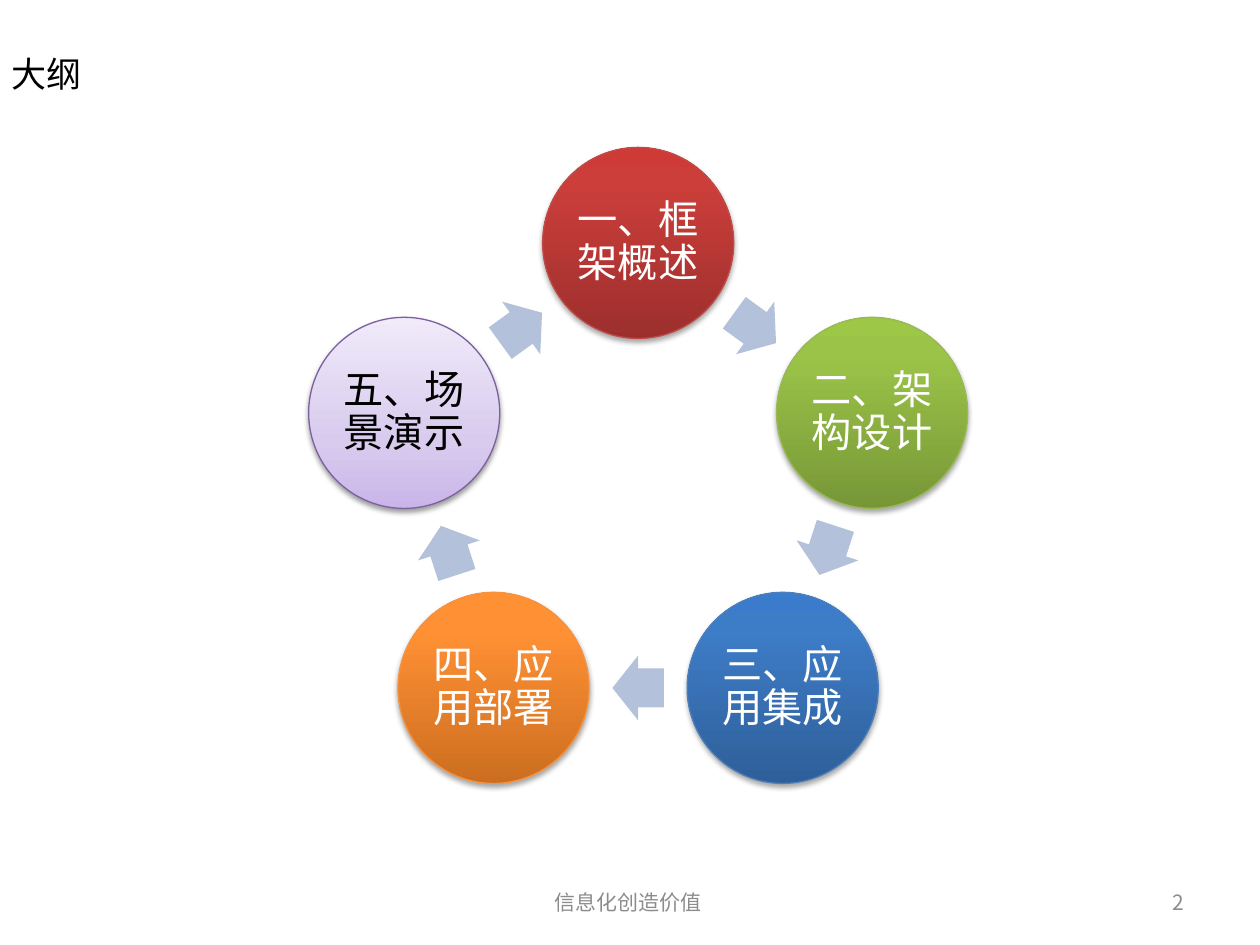
import math
from collections import namedtuple

import lxml.etree
import pptx
import pptx.dml.color
import pptx.enum.shapes
import pptx.enum.text
import pptx.oxml.ns
import pptx.util

Box = namedtuple("Box", "left top width height")
Node = namedtuple("Node", "label ink edge stops shadow")

FONT = "Noto Sans CJK SC"
PAGE = Box(0, 0, 10, 7.5)
SHAPES = pptx.enum.shapes.MSO_SHAPE
ALIGN = pptx.enum.text.PP_ALIGN
MIDDLE = pptx.enum.text.MSO_ANCHOR.MIDDLE

DARK = (35, 1.8)
PALE = (38, 1.6)
NODES = [
    Node("一、框架概述", "FFFFFF", "BF4C48", [(0, "9C2F2D"), (80, "CB3E3A"), (100, "CE3B37")], DARK),
    Node("二、架构设计", "FFFFFF", "98B955", [(0, "779737"), (80, "9BC348"), (100, "9DC746")], DARK),
    Node("三、应用集成", "FFFFFF", "4B7EBC", [(0, "2F5F99"), (80, "3D7CC7"), (100, "3A7CCB")], DARK),
    Node("四、应用部署", "FFFFFF", "F69240", [(0, "CC6E20"), (80, "FF9034"), (100, "FF9136")], DARK),
    Node("五、场景演示", "000000", "7D60A0", [(0, "C9B5E8"), (35, "D8CBEE"), (100, "F0EAF9")], PALE),
]


def color(value):
    return pptx.dml.color.RGBColor.from_string(value)


def share(box, left, top, width, height):
    return Box(box.left + left * box.width, box.top + top * box.height,
               width * box.width, height * box.height)


def centered(x, y, width, height):
    return Box(x - width / 2, y - height / 2, width, height)


def inches(box):
    return [pptx.util.Inches(length) for length in box]


def add_xml(parent, tag, **attributes):
    return lxml.etree.SubElement(parent, pptx.oxml.ns.qn(tag), attributes)


def write(frame, text, size, ink, align, spacing=None):
    frame.word_wrap = True
    frame.vertical_anchor = MIDDLE
    para = frame.paragraphs[0]
    para.alignment = align
    if spacing:
        para.line_spacing = spacing
    span = para.add_run()
    span.text = text
    span.font.size = pptx.util.Pt(size)
    span.font.color.rgb = color(ink)
    span.font.name = FONT
    add_xml(span.font._element, "a:ea", typeface=FONT)


def add_text(page, box, *style):
    write(page.shapes.add_textbox(*inches(box)).text_frame, *style)


def add_shape(page, kind, box):
    shape = page.shapes.add_shape(kind, *inches(box))
    shape.shadow.inherit = False
    return shape


def shade(shape, stops):
    shape.fill.gradient()
    shape.fill.gradient_angle = 90
    stop_list = shape._element.spPr.find(".//" + pptx.oxml.ns.qn("a:gsLst"))
    for stop in list(stop_list):
        stop_list.remove(stop)
    for position, value in stops:
        stop = add_xml(stop_list, "a:gs", pos=str(position * 1000))
        add_xml(stop, "a:srgbClr", val=value)


def drop_shadow(shape, opacity, distance):
    effects = shape._element.spPr.find(pptx.oxml.ns.qn("a:effectLst"))
    shadow = add_xml(effects, "a:outerShdw", blurRad=str(pptx.util.Pt(3.1)),
                     dist=str(pptx.util.Pt(distance)), dir="5400000", rotWithShape="0")
    black = add_xml(shadow, "a:srgbClr", val="000000")
    add_xml(black, "a:alpha", val=str(opacity * 1000))


def add_node(page, box, node):
    circle = add_shape(page, SHAPES.OVAL, box)
    shade(circle, node.stops)
    circle.line.color.rgb = color(node.edge)
    circle.line.width = pptx.util.Pt(0.75)
    drop_shadow(circle, *node.shadow)
    frame = circle.text_frame
    frame.margin_left = frame.margin_right = pptx.util.Inches(0.03)
    frame.margin_top = frame.margin_bottom = pptx.util.Inches(0.03)
    write(frame, node.label, 23, node.ink, ALIGN.CENTER, 0.9)


def add_arrow(page, box, rotation):
    arrow = add_shape(page, SHAPES.RIGHT_ARROW, box)
    arrow.adjustments[0] = 0.6
    arrow.adjustments[1] = 0.5
    arrow.rotation = rotation
    arrow.fill.solid()
    arrow.fill.fore_color.rgb = color("B3C1DB")
    arrow.line.fill.background()


def add_cycle(page, box, nodes):
    step = 360 / len(nodes)
    size = 0.29 * box.width
    radius = (box.width - size) / 2 / math.sin(math.radians(72))
    middle_x = box.left + box.width / 2
    middle_y = box.top + size / 2 + radius

    def around(angle, distance):
        turn = math.radians(angle)
        return middle_x + distance * math.sin(turn), middle_y - distance * math.cos(turn)

    for index, node in enumerate(nodes):
        angle = index * step
        add_node(page, centered(*around(angle, radius), size, size), node)
        half = angle + step / 2
        chord = radius * math.cos(math.radians(step / 2))
        add_arrow(page, centered(*around(half, chord), 0.27 * size, 0.34 * size), half)


def add_title(page, box):
    add_text(page, box, "大纲", 20, "000000", ALIGN.LEFT, pptx.util.Pt(27))


def add_footer(page, box):
    add_text(page, share(box, 0, 0, 0.52, 1), "信息化创造价值", 12, "8C8C8C", ALIGN.CENTER)
    add_text(page, share(box, 0.62, 0, 0.38, 1), "2", 12, "8C8C8C", ALIGN.RIGHT)


def main():
    deck = pptx.Presentation()
    deck.slide_width = pptx.util.Inches(PAGE.width)
    deck.slide_height = pptx.util.Inches(PAGE.height)
    page = deck.slides.add_slide(deck.slide_layouts[6])
    add_footer(page, share(PAGE, 0.34, 0.93, 0.61, 0.05))
    add_cycle(page, Box(2.45, 1.17, 5.23, 5.05), NODES)
    add_title(page, Box(-0.01, 0.29, 8.37, 0.54))
    deck.save("out.pptx")


if __name__ == "__main__":
    main()
